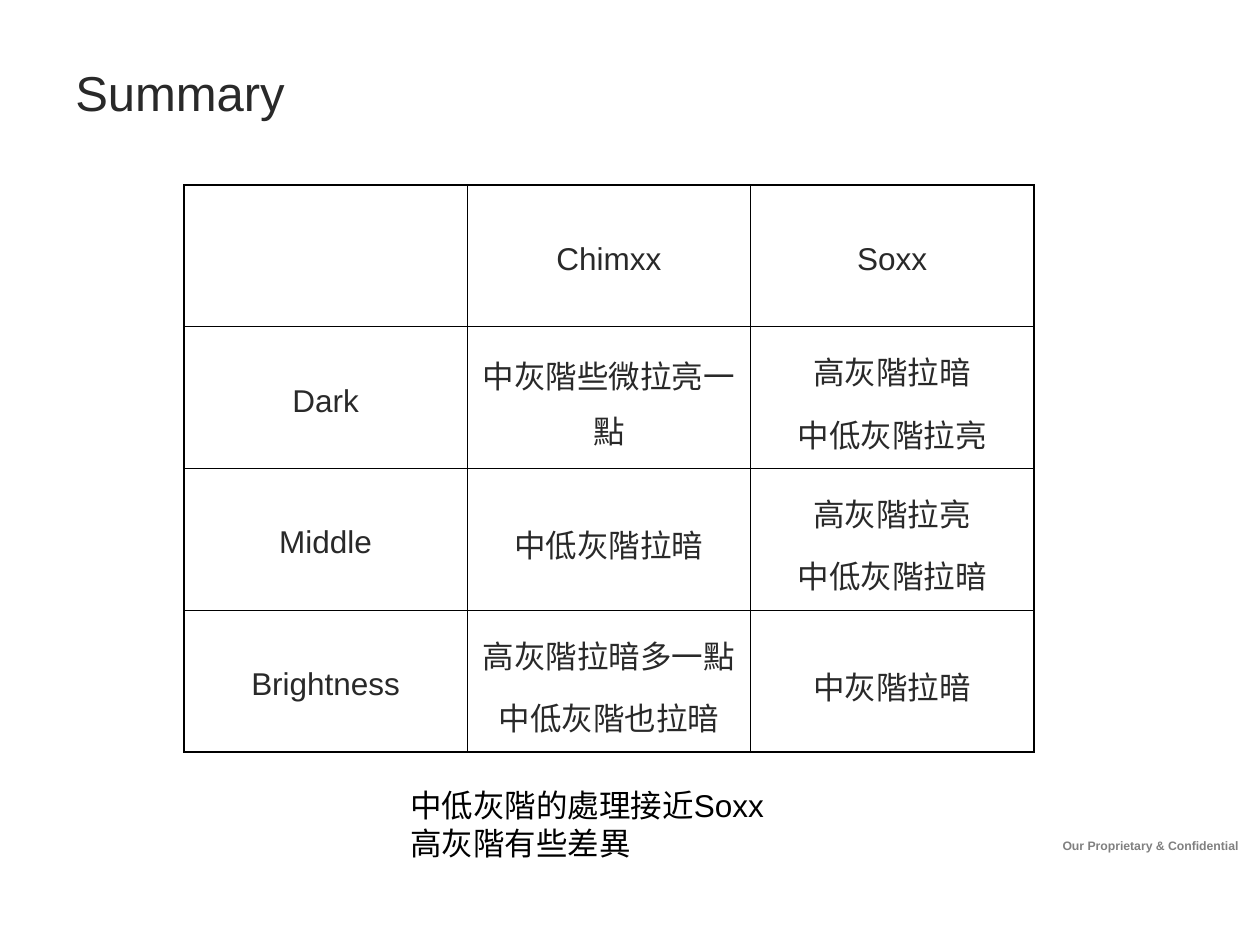
from dataclasses import dataclass
from lxml.etree import SubElement as Sub
from pptx import Presentation
from pptx.dml.color import RGBColor as Rgb
from pptx.enum.text import MSO_ANCHOR as Anchor, PP_ALIGN as Align
from pptx.oxml.ns import qn
from pptx.util import Emu, Pt

PX = 914400 // 126


@dataclass(frozen=True)
class Theme:
    """Colours, font and type sizes of the slide."""
    face: str = "Arial"
    ink: str = "292929"
    black: str = "000000"
    gray: str = "808080"
    head: int = 28
    body: int = 18
    foot: int = 7
    thin: float = 0.45
    thick: float = 1.08


LOOK = Theme()
ROWS = [
    ["", "Chimxx", "Soxx"],
    ["Dark", "中灰階些微拉亮一點", "高灰階拉暗\n中低灰階拉亮"],
    ["Middle", "中低灰階拉暗", "高灰階拉亮\n中低灰階拉暗"],
    ["Brightness", "高灰階拉暗多一點\n中低灰階也拉暗", "中灰階拉暗"],
]


def px(*nums):
    """Turn px into EMU."""
    return [Emu(n * PX) for n in nums]


def write(frame, text, size=LOOK.body, color=LOOK.ink, bold=False,
          align=Align.LEFT, gap=0, lead=None):
    """Fill a text frame, one paragraph per line of text."""
    frame.text = text
    for i, para in enumerate(frame.paragraphs):
        para.alignment = align
        para.line_spacing = lead
        if i:
            para.space_before = Pt(gap)
        for run in para.runs:
            font = run.font
            font.name, font.size, font.bold = LOOK.face, Pt(size), bold
            font.color.rgb = Rgb.from_string(color)


def label(slide, box, text, wrap=False, anchor=Anchor.TOP, **form):
    """Add a text box with formatted text."""
    frame = slide.shapes.add_textbox(*px(*box)).text_frame
    frame.word_wrap = wrap
    frame.vertical_anchor = anchor
    write(frame, text, **form)


def edge(cell, side, width):
    """Draw one border of a cell."""
    line = Sub(cell._tc.get_or_add_tcPr(), qn(f"a:ln{side}"), w=str(Pt(width)))
    fill = Sub(line, qn("a:solidFill"))
    Sub(fill, qn("a:srgbClr"), val=LOOK.black)


def grid(slide, box, rows):
    """Add an even table with a thick frame and thin inner lines."""
    high, wide = len(rows), len(rows[0])
    table = slide.shapes.add_table(high, wide, *px(*box)).table
    table.first_row = table.horz_banding = False
    for r, row in enumerate(rows):
        for c, text in enumerate(row):
            cell = table.cell(r, c)
            outer = {"L": c == 0, "R": c == wide - 1,
                     "T": r == 0, "B": r == high - 1}
            for side, rim in outer.items():
                edge(cell, side, LOOK.thick if rim else LOOK.thin)
            cell.fill.background()
            cell.vertical_anchor = Anchor.MIDDLE
            write(cell.text_frame, text, align=Align.CENTER, gap=4.5, lead=1.2)


def main():
    """Build the summary slide."""
    deck = Presentation()
    deck.slide_width, deck.slide_height = px(1260, 945)
    slide = deck.slides.add_slide(deck.slide_layouts[6])
    label(slide, (1047, 832, 207, 28), "Our Proprietary & Confidential",
          size=LOOK.foot, color=LOOK.gray, bold=True, align=Align.CENTER)
    label(slide, (63, 38, 1134, 107), "Summary", wrap=True,
          anchor=Anchor.MIDDLE, size=LOOK.head)
    grid(slide, (184, 185, 850, 567), ROWS)
    label(slide, (398, 780, 386, 126), "中低灰階的處理接近Soxx\n高灰階有些差異",
          color=LOOK.black)
    deck.save("out.pptx")


if __name__ == "__main__":
    main()
